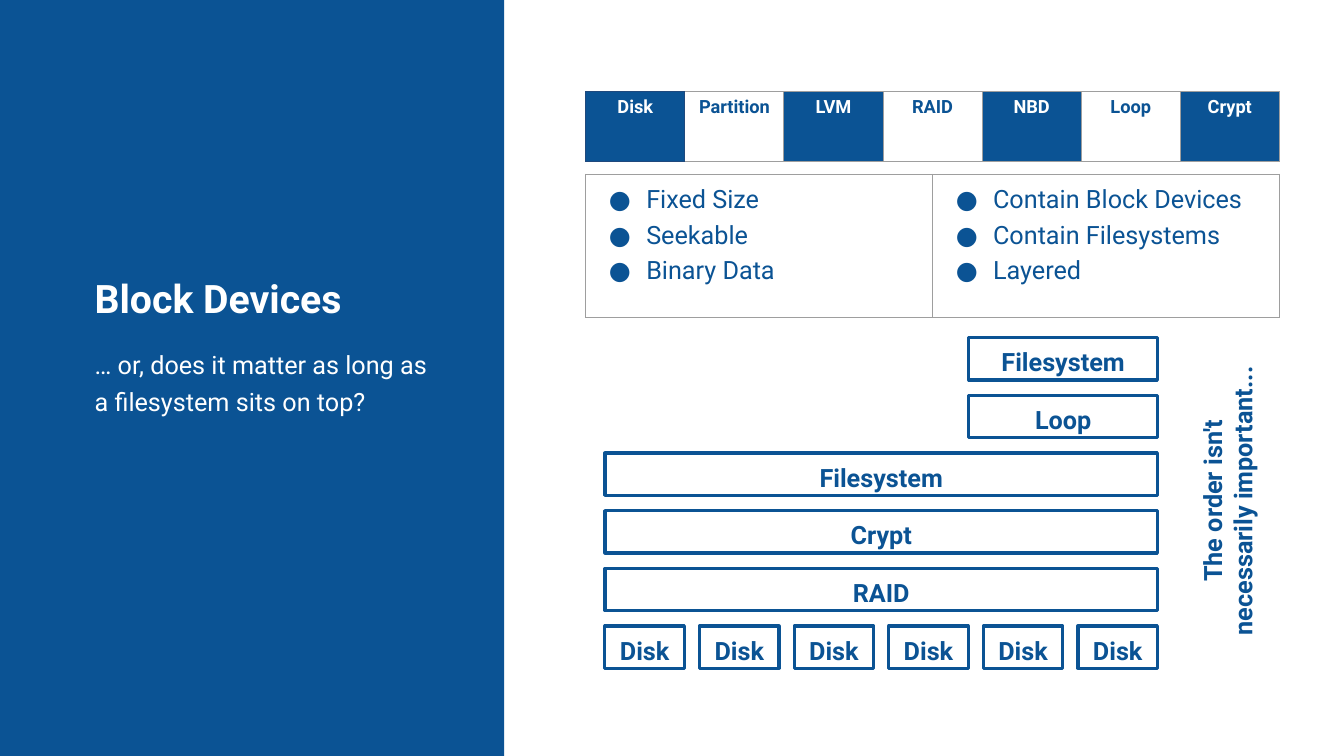
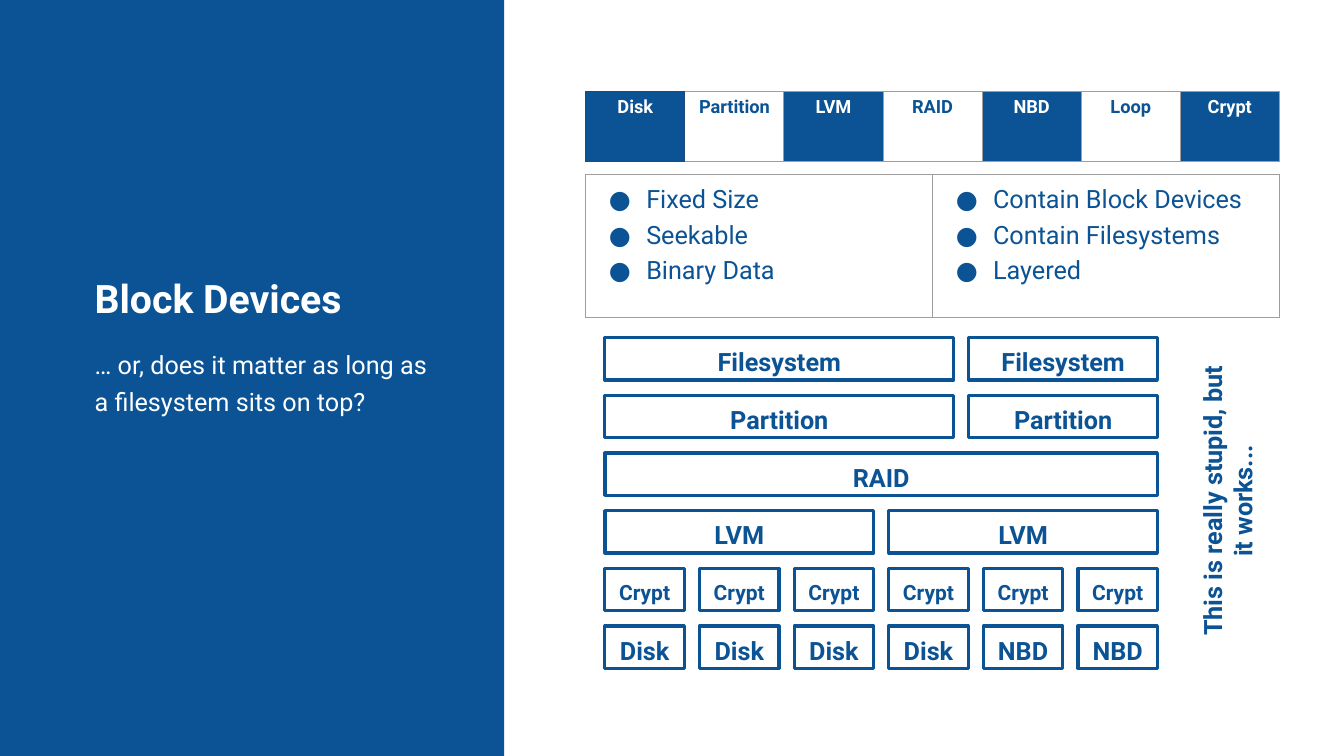
from dataclasses import dataclass
from typing import Any, NamedTuple

from lxml import etree
from pptx import Presentation
from pptx.dml.color import RGBColor
from pptx.enum.shapes import MSO_SHAPE as Shape
from pptx.enum.text import MSO_ANCHOR as Anchor, PP_ALIGN as Align
from pptx.oxml.ns import qn
from pptx.util import Inches, Pt


# Theme: colours, font and type sizes
@dataclass(frozen=True)
class Theme:
    blue: str = "0B5394"
    white: str = "FFFFFF"
    grid: str = "9E9E9E"
    first_cell: str = "1F497D"
    font: str = "Roboto"
    title: float = 28
    body: float = 18
    small: float = 15
    header: float = 13
    box_line: float = 2.25
    cell_line: float = 0.75
    spacing: float = 1.2


THEME = Theme()


class Area(NamedTuple):
    left: float
    top: float
    width: float
    height: float

    def emu(self) -> list[int]:
        return [Inches(v) for v in self]


@dataclass(frozen=True)
class TextStyle:
    size: float = THEME.body
    color: str = THEME.blue
    bold: bool = False
    align: Any = Align.LEFT
    spacing: float = 1.0


@dataclass(frozen=True)
class Layer:
    """One row of boxes in the stack, ending at its right edge."""
    labels: tuple[str, ...]
    widths: tuple[float, ...]
    size: float = THEME.body


@dataclass(frozen=True)
class StackSlide:
    layers: tuple[Layer, ...]
    note: str
    note_length: float


# Text styles
TITLE = TextStyle(size=THEME.title, color=THEME.white, bold=True)
SUBTITLE = TextStyle(color=THEME.white, spacing=THEME.spacing)
BULLET = TextStyle(spacing=THEME.spacing)
NOTE = TextStyle(bold=True, align=Align.CENTER)

# Text frame formats
EVEN_MARGINS = {f"margin_{side}": Inches(0.1)
                for side in ("left", "top", "right", "bottom")}
CENTERED_FRAME = {"word_wrap": True, "vertical_anchor": Anchor.MIDDLE, **EVEN_MARGINS}
PLAIN_TABLE = {"first_row": False, "horz_banding": False}

# Layout
PANEL_AREAS = (Area(0, 0, 0.1, 7.5), Area(0.1, 0, 4.9, 7.5))
TITLE_AREA = Area(0.84, 2.67, 3.4, 0.57)
SUBTITLE_AREA = Area(0.84, 3.36, 3.51, 1.92)
KINDS_AREA = Area(5.81, 0.91, 6.88, 0.69)
TRAITS_AREA = Area(5.81, 1.73, 6.88, 1.42)
STACK = Area(6, 3.35, 5.48, 3.28)
BOX_HEIGHT = 0.42
NOTE_CENTER = (12.17, 4.97)
NOTE_DEPTH = 0.89

# Box widths of a layer
GAP = 0.15
FULL = (STACK.width,)
HALVES = ((STACK.width - GAP) / 2,) * 2
SIXTHS = ((STACK.width - 5 * GAP) / 6,) * 6
SIDE = (1.87,)
MAIN_SIDE = (STACK.width - GAP - SIDE[0],) + SIDE

# Content
KINDS = ("Disk", "Partition", "LVM", "RAID", "NBD", "Loop", "Crypt")
TRAITS = (
    ("Fixed Size", "Seekable", "Binary Data"),
    ("Contain Block Devices", "Contain Filesystems", "Layered"),
)
SLIDES = (
    StackSlide(
        layers=(
            Layer(("Filesystem",), SIDE),
            Layer(("Loop",), SIDE),
            Layer(("Filesystem",), FULL),
            Layer(("Crypt",), FULL),
            Layer(("RAID",), FULL),
            Layer(("Disk",) * 6, SIXTHS),
        ),
        note="The order isn't necessarily important...",
        note_length=3.11,
    ),
    StackSlide(
        layers=(
            Layer(("Filesystem",) * 2, MAIN_SIDE),
            Layer(("Partition",) * 2, MAIN_SIDE),
            Layer(("RAID",), FULL),
            Layer(("LVM",) * 2, HALVES),
            Layer(("Crypt",) * 6, SIXTHS, THEME.small),
            Layer(("Disk",) * 4 + ("NBD",) * 2, SIXTHS),
        ),
        note="This is really stupid, but it works...",
        note_length=2.91,
    ),
)


# Helpers
def apply_format(target: Any, values: dict[str, Any]) -> None:
    for name, value in values.items():
        setattr(target, name, value)


def rgb(color: str) -> RGBColor:
    return RGBColor.from_string(color)


def fill_solid(target: Any, color: str) -> None:
    target.fill.solid()
    target.fill.fore_color.rgb = rgb(color)


def write(tf: Any, lines: tuple[str, ...], style: TextStyle) -> None:
    for i, line in enumerate(lines):
        p = tf.add_paragraph() if i else tf.paragraphs[0]
        apply_format(p, {"alignment": style.align, "line_spacing": style.spacing})
        r = p.add_run()
        r.text = line
        apply_format(r.font, {"name": THEME.font, "size": Pt(style.size),
                              "bold": style.bold})
        r.font.color.rgb = rgb(style.color)


def add_bullet(p: Any) -> None:
    props = p._p.get_or_add_pPr()
    props.set("marL", str(Inches(0.5)))
    props.set("indent", str(Inches(-0.37)))
    color = etree.SubElement(props, qn("a:buClr"))
    etree.SubElement(color, qn("a:srgbClr"), val=THEME.blue)
    etree.SubElement(props, qn("a:buFont"), typeface=THEME.font)
    etree.SubElement(props, qn("a:buChar"), char="●")


def set_borders(cell: Any, colors: dict[str, str]) -> None:
    props = cell._tc.get_or_add_tcPr()
    for i, side in enumerate("LRTB"):
        line = etree.Element(qn(f"a:ln{side}"), w=str(Pt(THEME.cell_line)))
        fill = etree.SubElement(line, qn("a:solidFill"))
        etree.SubElement(fill, qn("a:srgbClr"), val=colors.get(side, THEME.grid))
        props.insert(i, line)


def add_text(s: Any, area: Area, text: str, style: TextStyle,
             frame: dict[str, Any]) -> Any:
    sp = s.shapes.add_textbox(*area.emu())
    apply_format(sp.text_frame, frame)
    write(sp.text_frame, (text,), style)
    return sp


def add_rect(s: Any, area: Area) -> Any:
    sp = s.shapes.add_shape(Shape.RECTANGLE, *area.emu())
    sp.shadow.inherit = False
    return sp


def add_plain_table(s: Any, area: Area, columns: int) -> Any:
    table = s.shapes.add_table(1, columns, *area.emu()).table
    apply_format(table, PLAIN_TABLE)
    for column in table.columns:
        column.width = Inches(area.width / columns)
    return table


# Slide parts
def draw_panel(s: Any) -> None:
    for area in PANEL_AREAS:
        sp = add_rect(s, area)
        fill_solid(sp, THEME.blue)
        sp.line.fill.background()
    wrap = {"word_wrap": True}
    add_text(s, TITLE_AREA, "Block Devices", TITLE, wrap)
    add_text(s, SUBTITLE_AREA,
             "… or, does it matter as long as a filesystem sits on top?",
             SUBTITLE, wrap)


def draw_kinds(s: Any) -> None:
    table = add_plain_table(s, KINDS_AREA, len(KINDS))
    for i, kind in enumerate(KINDS):
        cell = table.cell(0, i)
        dark = i % 2 == 0
        if dark:
            fill_solid(cell, THEME.blue)
        else:
            cell.fill.background()
        color = THEME.white if dark else THEME.blue
        write(cell.text_frame, (kind,),
              TextStyle(THEME.header, color, True, Align.CENTER))
        edges = {0: "LRTB", 1: "L"}.get(i, "")
        set_borders(cell, dict.fromkeys(edges, THEME.first_cell))


def draw_traits(s: Any) -> None:
    table = add_plain_table(s, TRAITS_AREA, len(TRAITS))
    for i, traits in enumerate(TRAITS):
        cell = table.cell(0, i)
        cell.fill.background()
        write(cell.text_frame, traits, BULLET)
        for p in cell.text_frame.paragraphs:
            add_bullet(p)
        set_borders(cell, {})


def draw_box(s: Any, area: Area, label: str, size: float) -> None:
    sp = add_rect(s, area)
    sp.fill.background()
    sp.line.color.rgb = rgb(THEME.blue)
    sp.line.width = Pt(THEME.box_line)
    apply_format(sp.text_frame, CENTERED_FRAME)
    write(sp.text_frame, (label,),
          TextStyle(size, THEME.blue, True, Align.CENTER, THEME.spacing))


def draw_stack(s: Any, layers: tuple[Layer, ...]) -> None:
    pitch = (STACK.height - BOX_HEIGHT) / (len(layers) - 1)
    for i, layer in enumerate(layers):
        total = sum(layer.widths) + GAP * (len(layer.widths) - 1)
        left = STACK.left + STACK.width - total
        for label, width in zip(layer.labels, layer.widths):
            area = Area(left, STACK.top + i * pitch, width, BOX_HEIGHT)
            draw_box(s, area, label, layer.size)
            left += width + GAP


def draw_note(s: Any, text: str, length: float) -> None:
    x, y = NOTE_CENTER
    area = Area(x - length / 2, y - NOTE_DEPTH / 2, length, NOTE_DEPTH)
    add_text(s, area, text, NOTE, CENTERED_FRAME).rotation = 270


def main() -> None:
    prs = Presentation()
    apply_format(prs, {"slide_width": Inches(13.33), "slide_height": Inches(7.5)})
    for content in SLIDES:
        s = prs.slides.add_slide(prs.slide_layouts[6])
        draw_panel(s)
        draw_kinds(s)
        draw_traits(s)
        draw_stack(s, content.layers)
        draw_note(s, content.note, content.note_length)
    prs.save("out.pptx")


if __name__ == "__main__":
    main()
